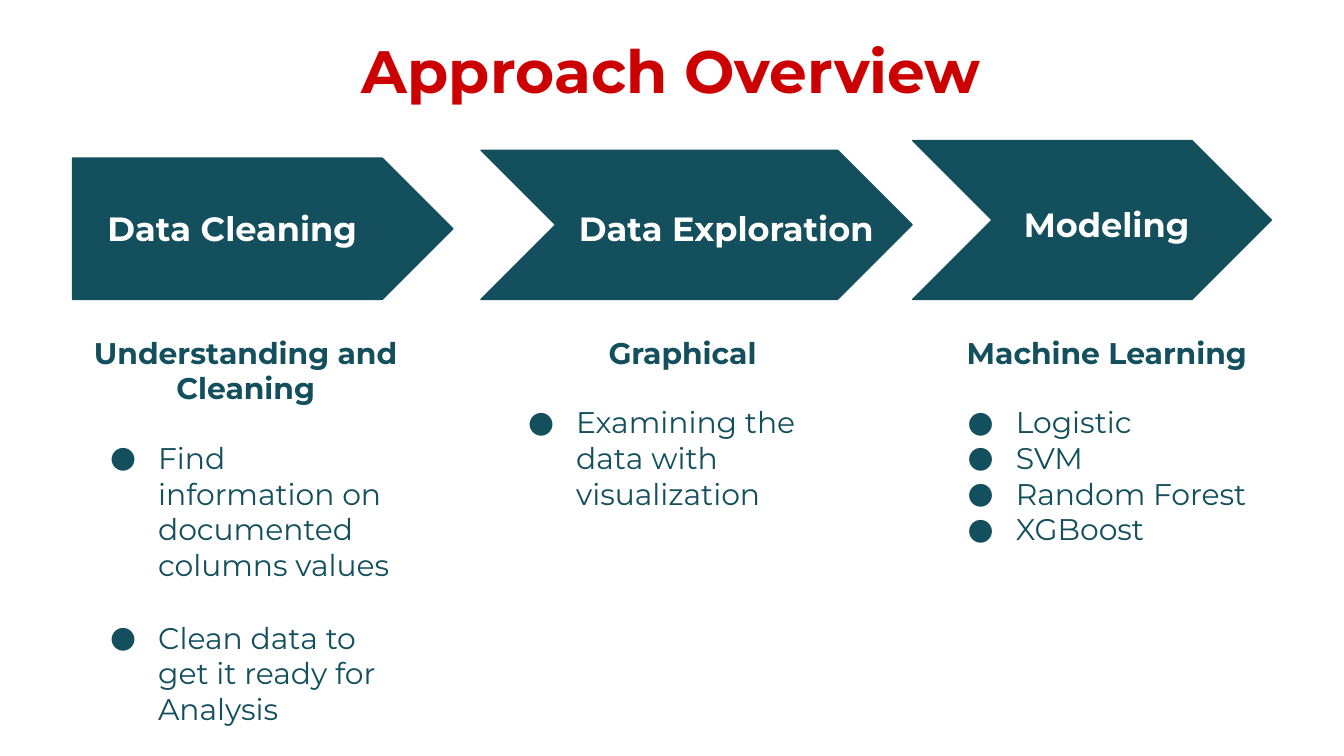
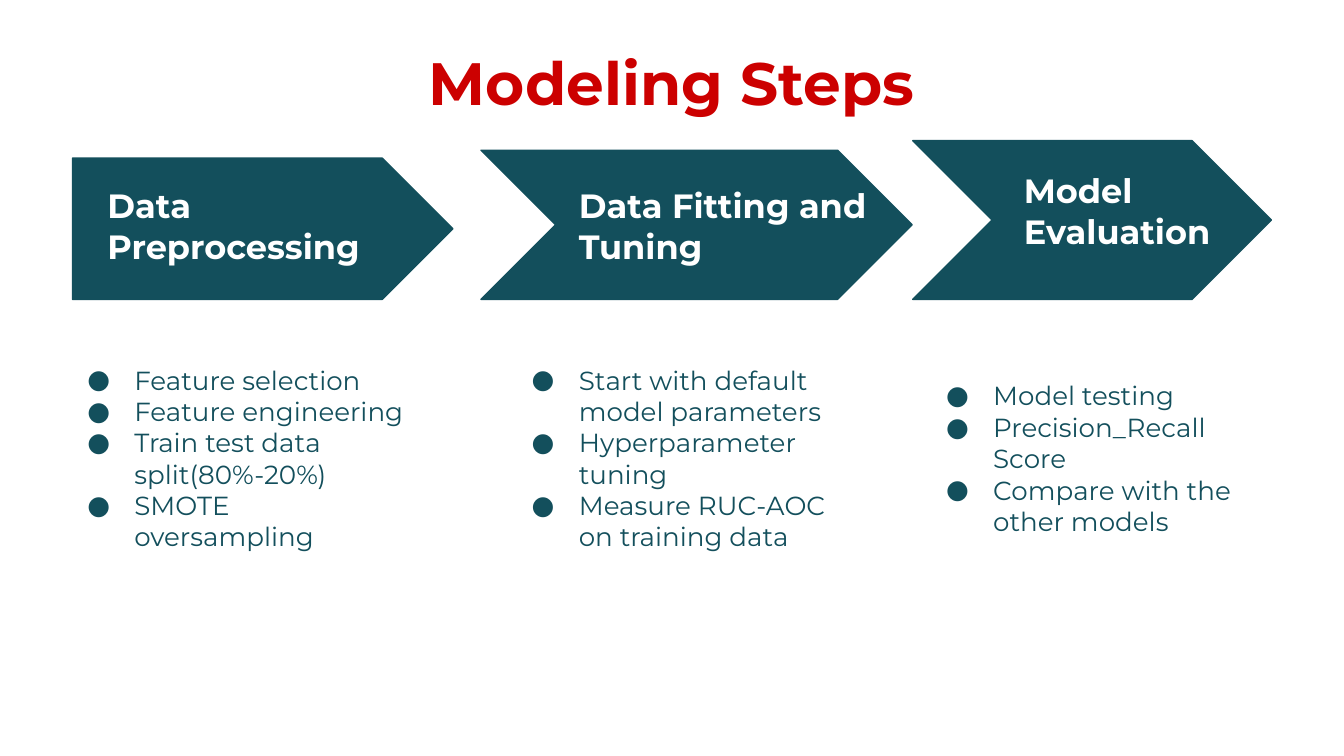
import pptx
import pptx.util
import pptx.dml.color
import pptx.enum.shapes
import pptx.enum.text
import pptx.oxml
import pptx.oxml.ns

Cm, Pt = pptx.util.Cm, pptx.util.Pt
SHAPE = pptx.enum.shapes.MSO_SHAPE
ALIGN = pptx.enum.text.PP_ALIGN
TEAL, RED, WHITE = "134F5C", "CC0000", "FFFFFF"
FONT = "Montserrat"
ARROW_BOTTOM = 5.66
ARROWS = [
    (SHAPE.PENTAGON, 1.37, 7.19, 2.67),
    (SHAPE.CHEVRON, 9.09, 8.15, 2.82),
    (SHAPE.CHEVRON, 17.25, 6.78, 3.0),
]
LABEL_COLUMNS = [(1.78, 5.44), (10.69, 6.12), (19.1, 5.44)]

SLIDES = [
    {
        "title": "Approach Overview",
        "title_top": 0.38,
        "label_height": 1.27,
        "labels": [("Data Cleaning", 3.68), ("Data Exploration", 3.68), ("Modeling", 3.61)],
        "size": 16,
        "hang": 0.91,
        "columns": [
            ((1.47, 6.07, 6.35, 8.0), "Understanding and Cleaning",
             ["Find information on documented columns values",
              "Clean data to get it ready for Analysis"], 19.5),
            ((9.37, 6.07, 7.06, 3.89), "Graphical",
             ["Examining the data with visualization"], 0),
            ((17.68, 6.07, 6.48, 4.57), "Machine Learning",
             ["Logistic", "SVM", "Random Forest", "XGBoost"], 0),
        ],
    },
    {
        "title": "Modeling Steps",
        "title_top": 0.61,
        "label_height": 2.06,
        "labels": [("Data Preprocessing", 3.25), ("Data Fitting and Tuning", 3.25),
                   ("Model Evaluation", 2.97)],
        "size": 14,
        "hang": 0.89,
        "columns": [
            ((1.02, 6.63, 6.96, 4.11), None,
             ["Feature selection", "Feature engineering",
              "Train test data split(80%-20%)", "SMOTE oversampling"], 0),
            ((9.42, 6.63, 6.58, 4.11), None,
             ["Start with default model parameters", "Hyperparameter tuning",
              "Measure RUC-AOC on training data"], 0),
            ((17.25, 6.93, 6.58, 3.51), None,
             ["Model testing", "Precision_Recall Score",
              "Compare with the other models"], 0),
        ],
    },
]


def rgb(value):
    return pptx.dml.color.RGBColor.from_string(value)


def apply(obj, formats):
    for name, value in formats.items():
        setattr(obj, name, value)


def add_box(slide, box, grow=True):
    tf = slide.shapes.add_textbox(*map(Cm, box)).text_frame
    fit = pptx.enum.text.MSO_AUTO_SIZE
    apply(tf, {
        "word_wrap": True,
        "auto_size": fit.SHAPE_TO_FIT_TEXT if grow else fit.NONE,
        "vertical_anchor": pptx.enum.text.MSO_ANCHOR.TOP,
    })
    for side in ("left", "top", "right", "bottom"):
        setattr(tf, f"margin_{side}", Cm(0.25))
    return tf


def add_paragraph(tf, text, size, color, bold=False, align=ALIGN.LEFT, before=0):
    p = tf.paragraphs[0] if not tf.paragraphs[0].runs else tf.add_paragraph()
    apply(p, {"alignment": align, "space_before": Pt(before)})
    r = p.add_run()
    r.text = text
    apply(r.font, {"name": FONT, "size": Pt(size), "bold": bold})
    r.font.color.rgb = rgb(color)
    return p


def set_bullet(p, hang):
    pPr = p._p.get_or_add_pPr()
    pPr.set("marL", str(Cm(1.27)))
    pPr.set("indent", str(-Cm(hang)))
    ns = pptx.oxml.ns.nsdecls("a")
    for xml in (f'<a:buClr {ns}><a:srgbClr val="{TEAL}"/></a:buClr>',
                f'<a:buFont {ns} typeface="{FONT}"/>',
                f'<a:buChar {ns} char="●"/>'):
        pPr.append(pptx.oxml.parse_xml(xml))


def add_title(slide, text, top):
    tf = add_box(slide, (0.86, top, 23.67, 1.6), grow=False)
    add_paragraph(tf, text, 32, RED, True, ALIGN.CENTER)


def add_arrow(slide, kind, left, width, height):
    box = (left, ARROW_BOTTOM - height, width, height)
    sp = slide.shapes.add_shape(kind, *map(Cm, box))
    sp.shadow.inherit = False
    sp.adjustments[0] = 0.5
    sp.fill.solid()
    sp.fill.fore_color.rgb = rgb(TEAL)
    sp.line.color.rgb = rgb(TEAL)
    sp.line.width = Pt(0.75)


def add_label(slide, text, box):
    add_paragraph(add_box(slide, box), text, 18, WHITE, True)


def add_column(slide, box, heading, items, gap, size, hang):
    tf = add_box(slide, box)
    if heading:
        add_paragraph(tf, heading, size, TEAL, True, ALIGN.CENTER)
    for i, item in enumerate(items):
        before = gap if i else (18 if heading else 0)
        set_bullet(add_paragraph(tf, item, size, TEAL, before=before), hang)


def add_step_slide(prs, content):
    slide = prs.slides.add_slide(prs.slide_layouts[6])
    slide.background.fill.solid()
    slide.background.fill.fore_color.rgb = rgb(WHITE)
    add_title(slide, content["title"], content["title_top"])
    for arrow in ARROWS:
        add_arrow(slide, *arrow)
    for (text, top), (left, width) in zip(content["labels"], LABEL_COLUMNS):
        add_label(slide, text, (left, top, width, content["label_height"]))
    for column in content["columns"]:
        add_column(slide, *column, content["size"], content["hang"])


def main():
    prs = pptx.Presentation()
    apply(prs, {"slide_width": Cm(25.4), "slide_height": Cm(14.29)})
    for content in SLIDES:
        add_step_slide(prs, content)
    prs.save("out.pptx")


main()
